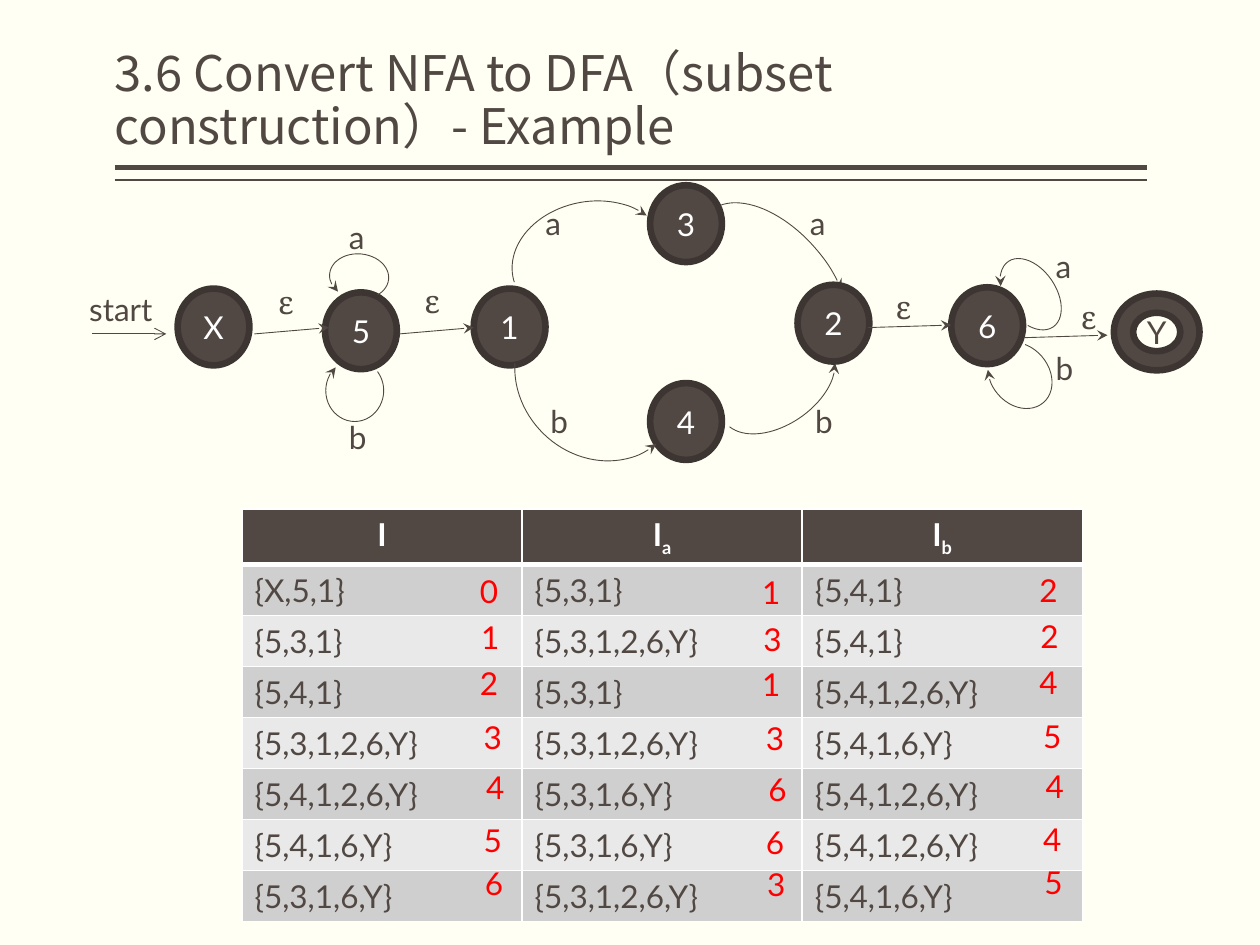
from lxml import etree
from pptx import Presentation
from pptx.dml.color import RGBColor
from pptx.enum import shapes, text
from pptx.oxml import ns
from pptx.util import Inches, Pt

CREAM = RGBColor(0xFF, 0xFF, 0xF3)
BROWN = RGBColor(0x51, 0x48, 0x43)
DARK = RGBColor(0x3C, 0x35, 0x32)
WHITE = RGBColor(0xFF, 0xFF, 0xFF)
RED = RGBColor(0xFF, 0x00, 0x00)
BANDS = (RGBColor(0xD0, 0xCF, 0xCF), RGBColor(0xE9, 0xE9, 0xE9))
BODY_FONT, SYMBOL_FONT, TITLE_FONT = "Lato", "Cambria", "Noto Sans CJK SC"
OVAL, DONUT, ARC = (shapes.MSO_SHAPE.OVAL, shapes.MSO_SHAPE.DONUT,
                    shapes.MSO_SHAPE.ARC)

# Automaton parts, measured from the corner of the diagram
STATES = {"3": (4.56, 0.07), "1": (3.16, 0.89), "4": (4.56, 1.64),
          "2": (5.73, 0.86), "5": (1.98, 0.92), "X": (0.81, 0.89),
          "6": (6.95, 0.88)}
# left, top, width, height, rotation, start and end of the sweep, arrow end
ARCS_BEHIND = [
    (4.77, 0.42, 1.54, 0.88, 49.3, 110.147, 188.746, "tailEnd"),   # 3 to 2
    (5.06, 1.34, 1.02, 0.63, 145.6, 116.201, 211.951, "headEnd"),  # 4 to 2
    (7.38, 0.62, 0.40, 0.63, 145.6, 29.695, 185.9, "headEnd"),     # 6, a
    (7.21, 1.35, 0.57, 0.46, 49.3, 138.139, 84.416, "tailEnd"),    # 6, b
]
ARCS_IN_FRONT = [
    (3.46, 0.20, 1.25, 0.96, 349.3, 105.497, 198.699, "tailEnd"),  # 1 to 3
    (3.45, 0.97, 1.40, 1.25, 224.2, 110.971, 195.21, "headEnd"),   # 1 to 4
    (2.07, 0.56, 0.36, 0.47, 95, 29.695, 185.9, "headEnd"),        # 5, a
    (1.97, 1.47, 0.49, 0.46, 90, 138.139, 84.416, "tailEnd"),      # 5, b
]
ARROWS = [(0.13, 1.25, 0.72, 1.25, "arrow"), (1.42, 1.25, 2.01, 1.20, "stealth"),
          (2.57, 1.25, 3.16, 1.20, "stealth"), (6.29, 1.20, 6.95, 1.18, "stealth"),
          (7.53, 1.28, 8.19, 1.26, "stealth")]
LABELS = {
    "start": [(0.01, 0.85)],
    "a": [(3.63, 0.17), (5.73, 0.17), (7.68, 0.51), (2.07, 0.28)],
    "b": [(3.67, 1.74), (5.77, 1.74), (7.68, 1.32), (2.07, 1.87)],
    "ε": [(2.67, 0.79), (6.41, 0.84), (1.51, 0.80), (7.88, 0.92)],
}
LABEL_WIDTHS = {"start": 0.73, "ε": 0.31}

# Subset table: the states in each set, and the number given to each set
SETS = ["X,5,1", "5,3,1", "5,4,1", "5,3,1,2,6,Y", "5,4,1,2,6,Y", "5,4,1,6,Y",
        "5,3,1,6,Y"]
ROWS = [(0, 1, 2), (1, 3, 2), (2, 1, 4), (3, 3, 5), (4, 6, 4), (5, 6, 4),
        (6, 3, 5)]
NUMBER_COLUMNS = [(1.79, 0), (4.03, 0.01), (6.23, -0.01)]
NUMBER_ROWS = [(0, 0.45), (0.01, 0.82), (0, 1.18), (0.03, 1.61), (0.05, 2.01),
               (0.03, 2.43), (0.04, 2.77)]


def add_span(para, words, color, size=18, font=BODY_FONT, bold=False):
    span = para.add_run()
    span.text = words
    span.font.size, span.font.name, span.font.bold = Pt(size), font, bold
    span.font.color.rgb = color
    return span


def set_line(shape, color, width, end=None, head="stealth"):
    shape.line.color.rgb = color
    shape.line.width = Pt(width)
    if end:
        etree.SubElement(shape.line._get_or_add_ln(), ns.qn("a:" + end), type=head)


def add_line(parent, start, finish, width, head=None):
    line = parent.add_connector(shapes.MSO_CONNECTOR.STRAIGHT,
                                *map(Inches, start + finish))
    set_line(line, BROWN, width, "tailEnd" if head else None, head)
    etree.SubElement(line._element.spPr, ns.qn("a:effectLst"))


def add_label(parent, words, left, top, width, color, font=BODY_FONT):
    box = parent.add_textbox(*map(Inches, (left, top, width, 0.4)))
    box.text_frame.word_wrap = False
    box.text_frame.auto_size = text.MSO_AUTO_SIZE.SHAPE_TO_FIT_TEXT
    add_span(box.text_frame.paragraphs[0], words, color, font=font)


def add_state(parent, name, left, top, width=0.57, kind=OVAL, color=WHITE):
    state = parent.add_shape(kind, *map(Inches, (left, top, width, 0.61)))
    state.shadow.inherit = False
    state.fill.solid()
    state.fill.fore_color.rgb = BROWN
    set_line(state, DARK, 3.78)
    frame = state.text_frame
    frame.vertical_anchor = text.MSO_ANCHOR.MIDDLE
    frame.paragraphs[0].alignment = text.PP_ALIGN.CENTER
    add_span(frame.paragraphs[0], name, color)


def add_arc(parent, left, top, width, height, turn, start, finish, end):
    arc = parent.add_shape(ARC, *map(Inches, (left, top, width, height)))
    arc.shadow.inherit = False
    arc.rotation = turn
    arc.adjustments[0], arc.adjustments[1] = start, finish
    arc.fill.background()
    set_line(arc, BROWN, 0.5, end)


def add_heading(page, left, top, width, height):
    title = page.shapes.title
    title.left, title.top, title.width, title.height = map(
        Inches, (left, top, width, height))
    frame = title.text_frame
    frame.word_wrap = True
    frame.auto_size = text.MSO_AUTO_SIZE.NONE
    frame.vertical_anchor = text.MSO_ANCHOR.BOTTOM
    frame.margin_left = frame.margin_right = 0
    frame.margin_top = frame.margin_bottom = Inches(0.05)
    para = frame.paragraphs[0]
    para.alignment = text.PP_ALIGN.LEFT
    para.line_spacing = 0.9
    span = add_span(para, "3.6 Convert NFA to DFA（subset construction）- Example",
                    BROWN, 28, TITLE_FONT)
    etree.SubElement(span.font._element, ns.qn("a:ea"), typeface=TITLE_FONT)
    # Double rule under the title
    for gap, weight in ((0.05, 3), (0.15, 1)):
        level = top + height + gap
        add_line(page.shapes, (left, level), (left + width, level), weight)


def add_automaton(page, left, top):
    parent = page.shapes.add_group_shape().shapes
    for x, y, *rest in ARCS_BEHIND:
        add_arc(parent, left + x, top + y, *rest)
    for name, (x, y) in STATES.items():
        add_state(parent, name, left + x, top + y)
    add_state(parent, "Y", left + 8.24, top + 0.93, 0.68, DONUT, BROWN)
    for x, y, *rest in ARCS_IN_FRONT:
        add_arc(parent, left + x, top + y, *rest)
    for x1, y1, x2, y2, head in ARROWS:
        add_line(parent, (left + x1, top + y1), (left + x2, top + y2), 0.5, head)
    for words, places in LABELS.items():
        font = SYMBOL_FONT if words == "ε" else BODY_FONT
        for x, y in places:
            add_label(parent, words, left + x, top + y,
                      LABEL_WIDTHS.get(words, 0.35), BROWN, font)


def style_cell(cell, fill, top=1, bottom=1):
    cell.fill.solid()
    cell.fill.fore_color.rgb = fill
    props = cell._tc.get_or_add_tcPr()
    for place, (side, width) in enumerate(
            (("L", 1), ("R", 1), ("T", top), ("B", bottom))):
        border = etree.Element(ns.qn("a:ln" + side), w=str(Pt(width)))
        paint = etree.SubElement(border, ns.qn("a:solidFill"))
        etree.SubElement(paint, ns.qn("a:srgbClr"), val=str(WHITE))
        props.insert(place, border)


def add_subset_table(page, left, top, width, height):
    table = page.shapes.add_table(len(ROWS) + 1, 3, *map(
        Inches, (left, top, width, height))).table
    # Header
    for column, letter in enumerate(("", "a", "b")):
        cell = table.cell(0, column)
        style_cell(cell, BROWN, bottom=3)
        para = cell.text_frame.paragraphs[0]
        para.alignment = text.PP_ALIGN.CENTER
        add_span(para, "I", WHITE, bold=True)
        if letter:
            span = add_span(para, letter, WHITE, bold=True)
            span.font._element.set("baseline", "-25000")
    # Sets, with their numbers in red on top
    for row, numbers in enumerate(ROWS):
        for column, number in enumerate(numbers):
            cell = table.cell(row + 1, column)
            style_cell(cell, BANDS[row % 2], top=1 if row else 3)
            add_span(cell.text_frame.paragraphs[0], "{" + SETS[number] + "}", BROWN)
            (x, dy), (dx, y) = NUMBER_COLUMNS[column], NUMBER_ROWS[row]
            add_label(page.shapes, str(number), left + x + dx, top + y + dy,
                      0.33, RED)


def main():
    deck = Presentation()
    deck.slide_width, deck.slide_height = Inches(10), Inches(7.5)
    page = deck.slides.add_slide(deck.slide_layouts[5])
    page.background.fill.solid()
    page.background.fill.fore_color.rgb = CREAM
    add_heading(page, 0.91, 0.08, 8.19, 1.2)
    add_automaton(page, 0.6, 1.4)
    add_subset_table(page, 1.92, 4.04, 6.67, 3.24)
    deck.save("out.pptx")


if __name__ == "__main__":
    main()
